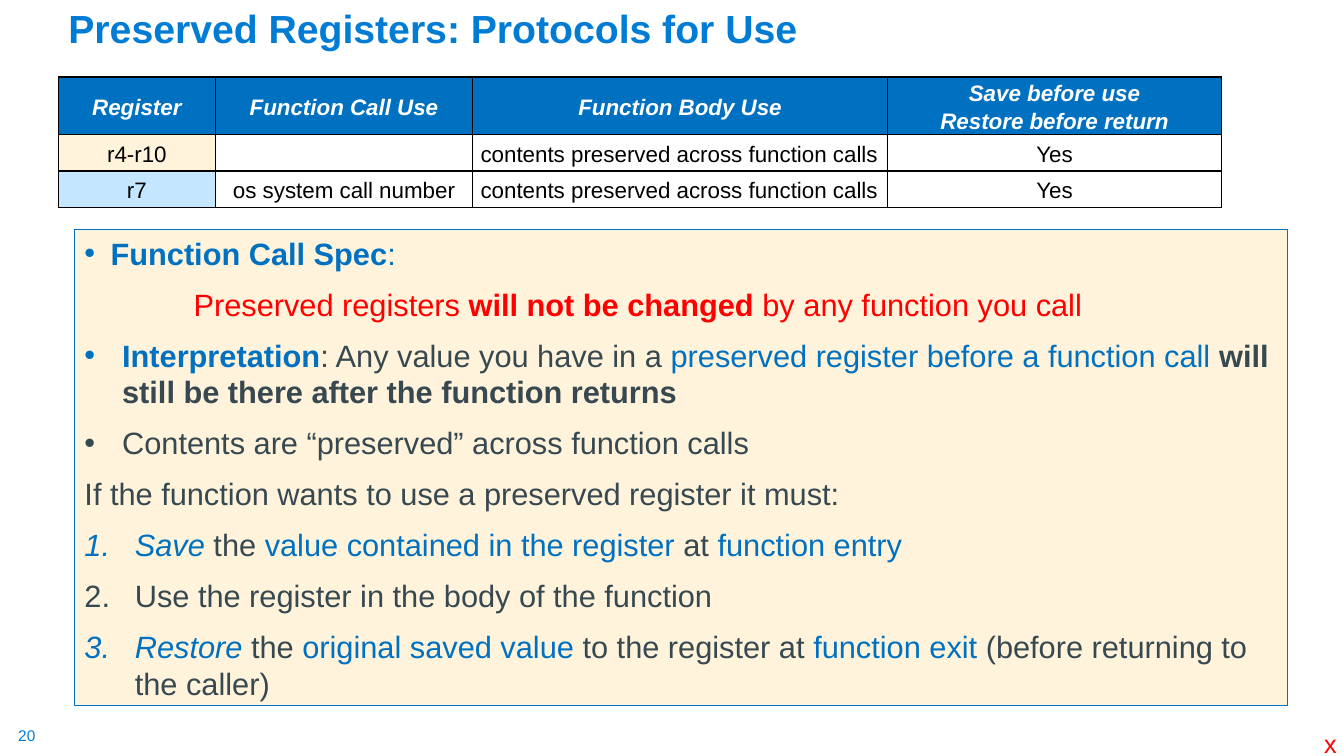
import pptx
import pptx.util
import pptx.dml.color
import pptx.enum.shapes
import pptx.enum.text
import pptx.oxml
from pptx.util import Cm, Pt

BLUE, SKY, CREAM, PALE = "0070C0", "007CD5", "FFF4DB", "C4E6FF"
SLATE, RED, BLACK, WHITE = "384851", "FF0000", "000000", "FFFFFF"
DRAWING = "xmlns:a='http://schemas.openxmlformats.org/drawingml/2006/main'"
ALIGN = pptx.enum.text.PP_ALIGN
ANCHOR = pptx.enum.text.MSO_ANCHOR
FIT = pptx.enum.text.MSO_AUTO_SIZE

TITLE = "Preserved Registers: Protocols for Use"
REGISTERS = [
    ["Register", "Function Call Use", "Function Body Use", "Save before use\nRestore before return"],
    ["r4-r10", "", "contents preserved across function calls", "Yes"],
    ["r7", "os system call number", "contents preserved across function calls", "Yes"],
]
COLUMN_WIDTHS = [3.96, 6.48, 10.46, 8.41]
ROW_HEIGHTS = [1.45, 0.92, 0.92]
REGISTER_FILLS = {1: CREAM, 2: PALE}

DOT, NUMBER = "buChar char='•'", "buAutoNum type='arabicPeriod'"
PROTOCOL = [
    (0.66, DOT, [("Function Call Spec", BLUE, "b"), (":", BLUE, "")]),
    (2.75, None, [("Preserved registers ", RED, ""), ("will not be changed ", RED, "b"),
                  ("by any function you call", RED, "")]),
    (0.95, DOT, [("Interpretation", BLUE, "b"), (": Any value you have in a ", SLATE, ""),
                 ("preserved register before a function call ", BLUE, ""),
                 ("will still be there after the function returns", SLATE, "b")]),
    (0.95, DOT, [("Contents are “preserved” across function calls", SLATE, "")]),
    (0, None, [("If the function wants to use a preserved register it must:", SLATE, "")]),
    (1.27, NUMBER, [("Save", BLUE, "i"), (" the ", SLATE, ""),
                    ("value contained in the register ", BLUE, ""), ("at ", SLATE, ""),
                    ("function entry", BLUE, "")]),
    (1.27, NUMBER, [("Use the register in the body of the function", SLATE, "")]),
    (1.27, NUMBER, [("Restore", BLUE, "i"), (" the ", SLATE, ""),
                    ("original saved value ", BLUE, ""), ("to the register at ", SLATE, ""),
                    ("function exit ", BLUE, ""), ("(before returning to the caller)", SLATE, "")]),
]
LABELS = [
    ("20", (0.46, 18.31, 0.48, 0.48), 11, SKY, 0),
    ("x", (33.12, 18.24, 0.75, 1.02), 18, RED, 0.25),
]


def rgb(value):
    return pptx.dml.color.RGBColor.from_string(value)


def assign(target, values):
    for name, value in values.items():
        setattr(target, name, value)


def add_span(para, text, size, color, style=""):
    span = para.add_run()
    span.text = text
    assign(span.font, {"name": "Arial", "size": Pt(size), "bold": "b" in style, "italic": "i" in style})
    span.font.color.rgb = rgb(color)


def add_title(page):
    title = page.shapes.title
    assign(title, {"left": Cm(1.47), "top": Cm(0.2), "width": Cm(33.53), "height": Cm(1.24)})
    assign(title.text_frame, {"vertical_anchor": ANCHOR.BOTTOM, "auto_size": FIT.NONE, "word_wrap": True})
    para = title.text_frame.paragraphs[0]
    assign(para, {"alignment": ALIGN.LEFT, "line_spacing": 0.9})
    add_span(para, TITLE, 28, SKY, "b")


def add_border(cell):
    properties = cell._tc.get_or_add_tcPr()
    for position, side in enumerate(("lnL", "lnR", "lnT", "lnB")):
        properties.insert(position, pptx.oxml.parse_xml(
            f"<a:{side} {DRAWING} w='12700'>"
            f"<a:solidFill><a:srgbClr val='{BLACK}'/></a:solidFill></a:{side}>"))


def fill_cell(cell, text, row, column):
    header = row == 0
    fill = BLUE if header else REGISTER_FILLS[row] if column == 0 else None
    assign(cell, {"vertical_anchor": ANCHOR.MIDDLE, "margin_left": Cm(0.2), "margin_right": Cm(0.2),
                  "margin_top": 0, "margin_bottom": 0})
    if fill:
        cell.fill.solid()
        cell.fill.fore_color.rgb = rgb(fill)
    else:
        cell.fill.background()
    add_border(cell)
    frame = cell.text_frame
    for index, line in enumerate(text.split("\n") if text else []):
        para = frame.add_paragraph() if index else frame.paragraphs[0]
        left = column == 2 and not header
        assign(para, {"alignment": ALIGN.LEFT if left else ALIGN.CENTER, "line_spacing": 1.15})
        add_span(para, line, 16, WHITE if header else BLACK, "bi" if header else "")


def add_registers(page):
    table = page.shapes.add_table(
        len(REGISTERS), len(COLUMN_WIDTHS), Cm(1.47), Cm(1.94),
        Cm(sum(COLUMN_WIDTHS)), Cm(sum(ROW_HEIGHTS))).table
    assign(table, {"first_row": False, "horz_banding": False})
    for column, width in zip(table.columns, COLUMN_WIDTHS):
        column.width = Cm(width)
    for row, height in zip(table.rows, ROW_HEIGHTS):
        row.height = Cm(height)
    for row, texts in enumerate(REGISTERS):
        for column, text in enumerate(texts):
            fill_cell(table.cell(row, column), text, row, column)


def add_protocol(page):
    box = page.shapes.add_shape(pptx.enum.shapes.MSO_SHAPE.RECTANGLE,
                                Cm(1.88), Cm(5.78), Cm(30.56), Cm(11.99))
    box.shadow.inherit = False
    box.fill.solid()
    box.fill.fore_color.rgb = rgb(CREAM)
    box.line.color.rgb = rgb(BLUE)
    box.line.width = Pt(0.75)
    frame = box.text_frame
    assign(frame, {"word_wrap": True, "vertical_anchor": ANCHOR.TOP})
    for index, (indent, bullet, spans) in enumerate(PROTOCOL):
        para = frame.add_paragraph() if index else frame.paragraphs[0]
        properties = para._p.get_or_add_pPr()
        properties.set("marL", str(Cm(indent)))
        properties.set("indent", str(-Cm(indent) if bullet else 0))
        for element in ("buFont typeface='Arial'", bullet) if bullet else ():
            properties.append(pptx.oxml.parse_xml(f"<a:{element} {DRAWING}/>"))
        assign(para, {"alignment": ALIGN.LEFT, "line_spacing": 1.0,
                      "space_before": Pt(10 if index else 0)})
        for text, color, style in spans:
            add_span(para, text, 22, color, style)


def add_label(page, text, place, size, color, margin):
    frame = page.shapes.add_textbox(*map(Cm, place)).text_frame
    assign(frame, {"word_wrap": False, "margin_left": Cm(margin), "margin_right": Cm(margin),
                   "margin_top": Cm(margin / 2), "margin_bottom": Cm(margin / 2)})
    add_span(frame.paragraphs[0], text, size, color)


def main():
    deck = pptx.Presentation()
    assign(deck, {"slide_width": Cm(33.87), "slide_height": Cm(19.05)})
    page = deck.slides.add_slide(deck.slide_layouts[5])
    add_title(page)
    add_registers(page)
    add_protocol(page)
    for label in LABELS:
        add_label(page, *label)
    deck.save("out.pptx")


if __name__ == "__main__":
    main()
